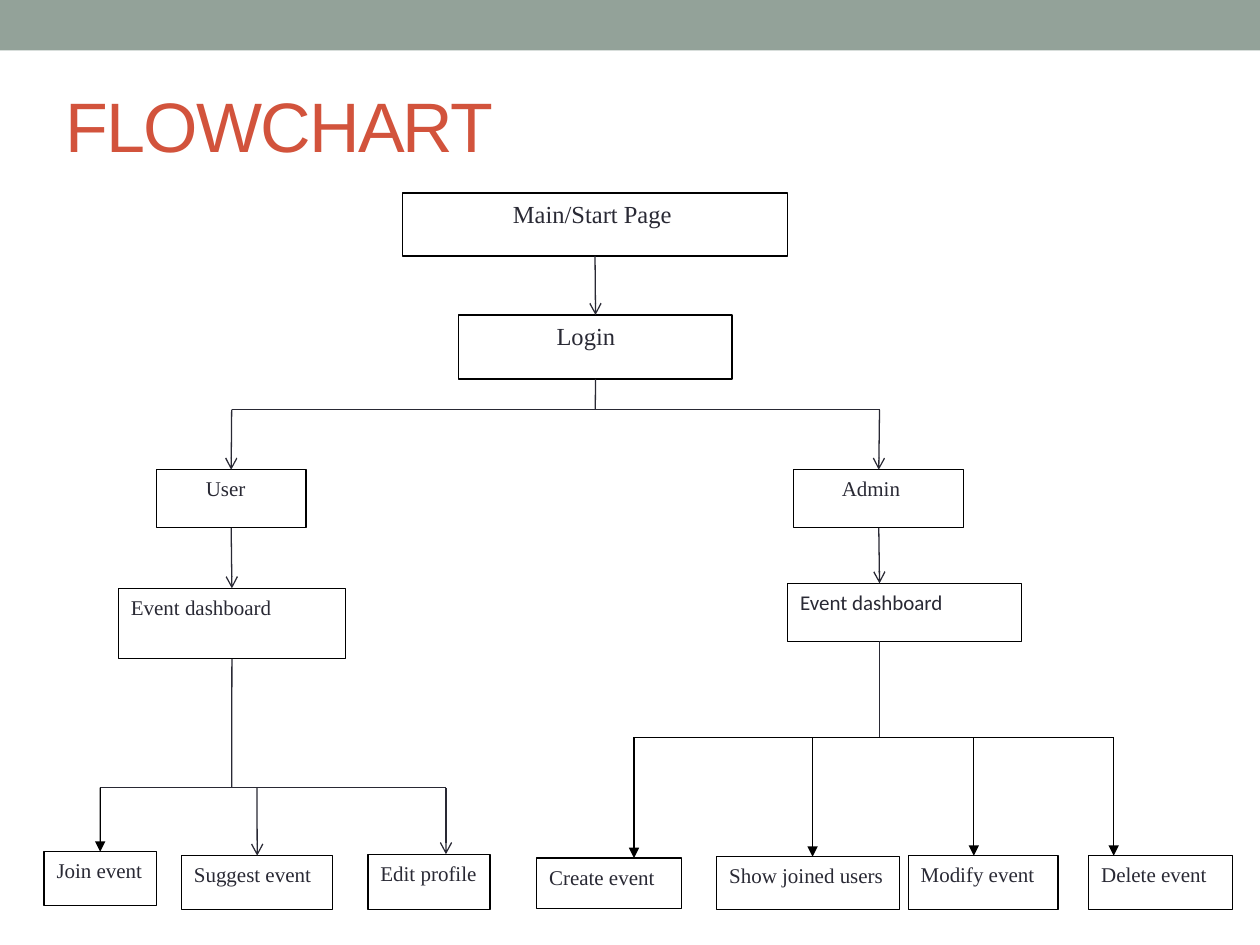
from lxml.etree import SubElement
from pptx import Presentation
from pptx.dml.color import RGBColor
from pptx.enum.shapes import MSO_CONNECTOR, MSO_SHAPE
from pptx.enum.text import MSO_ANCHOR
from pptx.oxml.ns import qn
from pptx.util import Cm, Pt

COLORS = {"band": "93A299", "title": "D2533C", "text": "292934",
          "black": "000000", "white": "FFFFFF"}
BOTTOM, TOP = 2, 0
INSET = 0.25
SERIF = "Times New Roman"

# Label, left, top, width, height and arrow position, from the top of the branch
USER_ACTIONS = [
    ("Join event", -3.78, 8.91, 2.26, 1.09, -2.65, "black", "triangle"),
    ("Suggest event", -1.01, 8.99, 3.05, 1.09, 0.51, "text", "arrow"),
    ("Edit profile", 2.75, 8.96, 2.46, 1.12, 4.32, "text", "arrow"),
]
ADMIN_ACTIONS = [
    ("Create event", -6.91, 9.04, 2.92, 1.02, -4.95, "black", "triangle"),
    ("Show joined users", -3.28, 9.01, 3.68, 1.07, -1.35, "black", "triangle"),
    ("Modify event", 0.58, 8.99, 3.02, 1.09, 1.9, "black", "triangle"),
    ("Delete event", 4.22, 8.99, 2.9, 1.09, 4.72, "black", "triangle"),
]


def color_of(name):
    return RGBColor.from_string(COLORS[name])


def write_text(shape, text, size=12, font=SERIF, color="text", indent=0,
               anchor=MSO_ANCHOR.TOP, spacing=None):
    frame = shape.text_frame
    frame.word_wrap = True
    frame.vertical_anchor = anchor
    frame.margin_left, frame.margin_right = Cm(INSET + indent), 0
    paragraph = frame.paragraphs[0]
    paragraph.alignment = 1
    run = paragraph.add_run()
    run.text = text
    run.font.size, run.font.name = Pt(size), font
    run.font.color.rgb = color_of(color)
    if spacing is not None:
        run.font._element.set("spc", str(spacing * 100))


def add_rectangle(slide, left, top, width, height, fill="white", line=None):
    shape = slide.shapes.add_shape(MSO_SHAPE.RECTANGLE, Cm(left), Cm(top),
                                   Cm(width), Cm(height))
    shape.shadow.inherit = False
    shape.fill.solid()
    shape.fill.fore_color.rgb = color_of(fill)
    if line:
        shape.line.color.rgb = color_of(line)
        shape.line.width = Pt(0.75)
    else:
        shape.line.fill.background()
    return shape


def add_step(slide, text, left, top, width, height, **text_format):
    shape = add_rectangle(slide, left, top, width, height, line="black")
    write_text(shape, text, **text_format)
    return shape


def is_middle(shape, x):
    return abs(shape.left + shape.width / 2 - Cm(x)) < Cm(0.05)


def add_line(slide, start, end, color="text", head=None, source=None, target=None):
    """Draw a line, joined to source and target where it meets their middles."""
    line = slide.shapes.add_connector(MSO_CONNECTOR.STRAIGHT,
                                      *(Cm(value) for value in (*start, *end)))
    line.line.color.rgb = color_of(color)
    line.line.width = Pt(0.75)
    if head:
        SubElement(line.line._get_or_add_ln(), qn("a:tailEnd"), type=head)
    SubElement(line._element.spPr, qn("a:effectLst"))
    if source is not None and is_middle(source, start[0]):
        line.begin_connect(source, BOTTOM)
    if target is not None and is_middle(target, end[0]):
        line.end_connect(target, TOP)


def draw_header(slide, left, top, width):
    add_rectangle(slide, left, top, width, 1.02, fill="band")
    title = slide.shapes.add_textbox(Cm(left + 1.07), Cm(top + 1.14),
                                     Cm(22.86), Cm(2.74))
    write_text(title, "FLOWCHART", size=40, font="Arial", color="title",
               anchor=MSO_ANCHOR.MIDDLE, spacing=-1)


def draw_entry(slide, center, top, rail_left, rail_right):
    """Draw the start and login steps and the rail that feeds both branches."""
    start = add_step(slide, "Main/Start Page", center - 3.89, top, 7.77, 1.27,
                     size=14, indent=1.98)
    login = add_step(slide, "Login", center - 2.75, top + 2.46, 5.51, 1.29,
                     size=14, indent=1.72)
    rail = top + 4.37
    add_line(slide, (center, top + 1.27), (center, top + 2.46), head="arrow",
             source=start, target=login)
    add_line(slide, (center, top + 3.75), (center, rail), source=login)
    add_line(slide, (rail_left, rail), (rail_right, rail))


def draw_branch(slide, center, top, role, role_box, role_indent,
                dashboard_box, dashboard_font, rail, rail_color, actions):
    """Draw a role, its dashboard and its actions below the point (center, top)."""
    def place(x, y, width, height):
        return center + x, top + y, width, height

    role_step = add_step(slide, role, *place(*role_box), indent=role_indent)
    dashboard = add_step(slide, "Event dashboard", *place(*dashboard_box),
                         font=dashboard_font)
    add_line(slide, (center, top), (center, top + role_box[1]), head="arrow",
             target=role_step)
    add_line(slide, (center, top + role_box[1] + role_box[3]),
             (center, top + dashboard_box[1]), head="arrow",
             source=role_step, target=dashboard)
    rail_y = top + rail
    add_line(slide, (center, top + dashboard_box[1] + dashboard_box[3]),
             (center, rail_y), source=dashboard)
    arrows = [center + action[5] for action in actions]
    add_line(slide, (arrows[0], rail_y), (arrows[-1], rail_y), color=rail_color)
    for (label, x, y, width, height, _, color, head), arrow in zip(actions, arrows):
        step = add_step(slide, label, *place(x, y, width, height))
        add_line(slide, (arrow, rail_y), (arrow, top + y), color=color, head=head,
                 target=step)


def main():
    presentation = Presentation()
    presentation.slide_width, presentation.slide_height = Cm(25.4), Cm(19.05)
    slide = presentation.slides.add_slide(presentation.slide_layouts[6])
    user_center, admin_center, branch_top = 4.67, 17.73, 8.26
    draw_header(slide, 0, 0, 25.4)
    draw_entry(slide, 12, 3.89, user_center, admin_center)
    draw_branch(slide, user_center, branch_top, "User", (-1.52, 1.21, 3.02, 1.17),
                0.75, (-2.28, 3.6, 4.57, 1.42), SERIF, 7.62, "text", USER_ACTIONS)
    draw_branch(slide, admin_center, branch_top, "Admin", (-1.73, 1.21, 3.43, 1.17),
                0.72, (-1.85, 3.5, 4.72, 1.17), "Calibri", 6.6, "black",
                ADMIN_ACTIONS)
    presentation.save("out.pptx")


if __name__ == "__main__":
    main()
